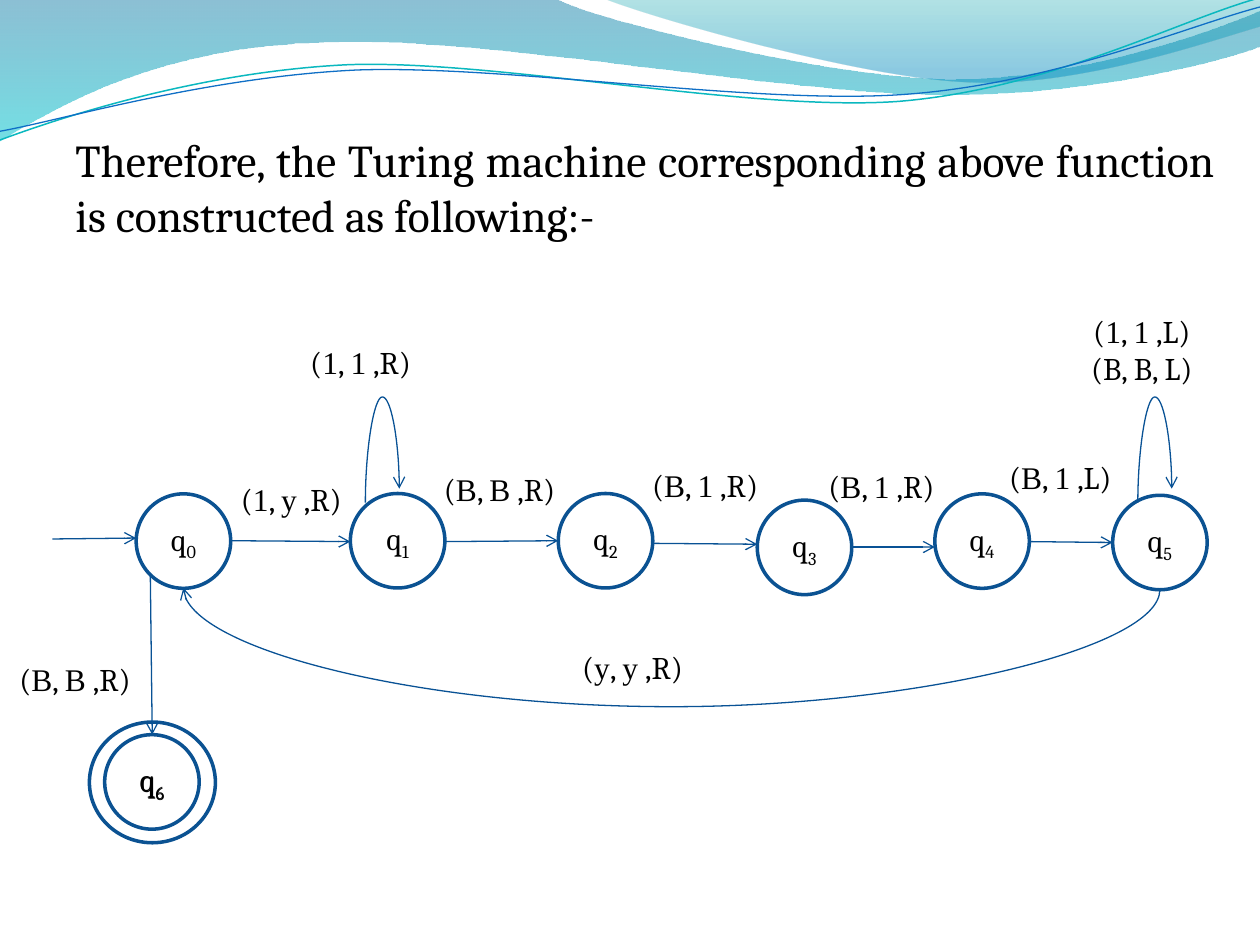
from pptx import Presentation
from pptx.dml.color import RGBColor
from pptx.enum import shapes, text
from pptx.oxml import ns
from pptx.oxml.xmlchemy import OxmlElement
from pptx.util import Pt

BLACK, NAVY, BLUE = "000000", "0B5292", "095295"
BODY_FONT, SYMBOL_FONT = "Cambria", "Times New Roman"
STATE_SIZE = 54

STATEMENT = ("Therefore, the Turing machine corresponding above function "
             "is constructed as following:-")

# Wave outlines in inches: start, then one point (line) or three points (curve).
BANDS = [
    ([(0, 0)], [(4.4, -.01)], [(4.76, .17), (6.64, .63), (7.58, .63)],
     [(8.53, .63), (9.58, .26), (10, .09)], [(10.01, .36)],
     [(9.83, .44), (8.7, .76), (7.46, .75)], [(6.22, .75), (3.82, .28), (2.57, .34)],
     [(1.29, .36), (.46, .83), (-.01, 1.13)]),
    ([(4.79, -.01)], [(5.09, .11), (6.82, .62), (7.69, .65)],
     [(8.56, .69), (9.61, .32), (10, .21)], [(10, 0)]),
]
# Gradient stops: position, colour, opacity in percent.
BAND_STOPS = [[(0, "0074A1", 45), (1, "00C6CF", 55)],
              [(0, "00A1A9", 30), (.8, "008BBF", 45)]]
WAVES = [
    (([(0, 1.11)], [(.48, .93), (1.58, .57), (2.77, .52)],
      [(3.95, .47), (5.93, .89), (7.13, .8)], [(8.33, .71), (9.38, .15), (9.98, -.02)]),
     "0AB8BF", .85),
    (([(0, 1.04)], [(.47, .96), (1.64, .61), (2.83, .56)],
      [(4.03, .51), (5.97, .84), (7.17, .75)], [(8.36, .67), (9.41, .21), (10, .06)]),
     "0F6FC6", .75),
]

# State number: left and top of its circle.
STATES = {0: (77.8, 282.2), 1: (200.2, 282), 2: (319, 282), 3: (432.7, 285.8),
          4: (534.2, 282.2), 5: (635.8, 283), 6: (59.8, 419.8)}
FINAL_RING = (51.1, 412.6, 72, 69)

ARROWS = [((30, 308), (77.8, 307.5)), ((131.8, 309), (200.2, 309.5)),
          ((254.2, 309.5), (319, 309)), ((373, 310.5), (432.7, 311)),
          ((486.7, 312.6), (534.2, 312.6)), ((588.2, 309.5), (635.8, 310)),
          ((85.9, 328.5), (87, 419.8))]
# Curved arrows: start, end, height of the turning point.
CURVES = [((208.8, 287.3), (228.2, 279.3), 226.8),
          ((650.2, 287.3), (669.6, 279.3), 226.8),
          ((662.8, 337), (104.8, 335.9), 403.5)]

# Read symbol, written symbol, move, then left, top, width, height.
LABELS = [
    ("1", "y", "R", (126, 264.2, 81, 42)),
    ("1", "1", "R", (165.6, 186, 81, 42)),
    ("y", "y", "R", (321, 360, 81, 42)),
    ("B", "B", "R", (241.2, 261.7, 88.6, 35)),
    ("B", "1", "R", (358.6, 259.5, 88.6, 35)),
    ("B", "1", "R", (459.4, 260.2, 88.6, 35)),
    ("B", "1", "L", (561.6, 255.2, 88.6, 35)),
    ("B", "B", "R", (-1.4, 370.4, 88.6, 35)),
    ("1", "1", "L", (612, 156.2, 81, 87)),
]
EXTRA_LINES = {8: "(B, B, L)"}


def color(hex_string):
    """Turn a hex string into a colour."""
    return RGBColor.from_string(hex_string)


def points(*values):
    """Convert plain numbers to point lengths."""
    return [Pt(value) for value in values]


def set_line(shape, hex_string, width):
    """Give a shape or connector a solid line."""
    shape.line.color.rgb = color(hex_string)
    shape.line.width = Pt(width)


def add_run(paragraph, words, size=18, font=BODY_FONT):
    """Append one black run and return it."""
    run = paragraph.add_run()
    run.text = words
    run.font.size, run.font.name = Pt(size), font
    run.font.color.rgb = color(BLACK)
    return run


def add_outline(slide, segments, closed):
    """Draw an outline of lines and cubic curves."""
    corners = [(x * 72, y * 72) for segment in segments for x, y in segment]
    builder = slide.shapes.build_freeform(*corners[0], scale=float(Pt(1)))
    builder.add_line_segments(corners[1:], close=closed)
    shape = builder.convert_to_shape()
    shape.shadow.inherit = False
    line_steps = iter(list(shape._element.iter(ns.qn("a:lnTo"))))
    for segment in segments[1:]:
        steps = [next(line_steps) for _ in segment]
        if len(steps) == 3:
            curve = OxmlElement("a:cubicBezTo")
            steps[0].addprevious(curve)
            for step in steps:
                curve.append(step[0])
                step.getparent().remove(step)
    return shape


def add_band(slide, segments, stops):
    """Draw a closed band with a translucent vertical gradient."""
    shape = add_outline(slide, segments, True)
    shape.line.fill.background()
    shape.fill.gradient()
    shape.fill.gradient_angle = 270
    for stop, (position, hex_string, opacity) in zip(shape.fill.gradient_stops, stops):
        stop.position = position
        stop.color.rgb = color(hex_string)
    for element, stop in zip(shape._element.iter(ns.qn("a:srgbClr")), stops):
        alpha = OxmlElement("a:alpha")
        alpha.set("val", str(stop[2] * 1000))
        element.append(alpha)


def add_state(slide, number, box):
    """Draw an unfilled circle with its state name."""
    shape = slide.shapes.add_shape(shapes.MSO_SHAPE.OVAL, *points(*box))
    shape.shadow.inherit = False
    shape.fill.background()
    set_line(shape, NAVY, 2)
    shape.text_frame.vertical_anchor = text.MSO_ANCHOR.MIDDLE
    paragraph = shape.text_frame.paragraphs[0]
    paragraph.alignment = text.PP_ALIGN.CENTER
    add_run(paragraph, "q")
    subscript = add_run(paragraph, str(number))
    subscript.font._element.set("baseline", "-25000")


def add_arrow(slide, start, end, kind=shapes.MSO_CONNECTOR.STRAIGHT):
    """Draw a thin connector with an open arrowhead at its end."""
    connector = slide.shapes.add_connector(kind, *points(*start, *end))
    set_line(connector, BLUE, .75)
    head = OxmlElement("a:tailEnd")
    head.set("type", "arrow")
    connector.line._get_or_add_ln().append(head)
    connector._element.spPr.append(OxmlElement("a:effectLst"))
    return connector


def add_curve(slide, start, end, turn):
    """Draw a curved arrow that leaves and arrives vertically."""
    connector = add_arrow(slide, start, end, shapes.MSO_CONNECTOR.CURVE)
    (x1, y1), (x2, y2) = start, end
    width, height = abs(y2 - y1), abs(x2 - x1)
    connector.left, connector.top, connector.width, connector.height = points(
        (x1 + x2 - width) / 2, (y1 + y2 - height) / 2, width, height)
    frame = connector._element.spPr.xfrm
    frame.set("rot", str(90 * 60000))
    frame.set("flipH", str(int(y2 < y1)))
    frame.set("flipV", str(int(x2 > x1)))
    guide = OxmlElement("a:gd")
    guide.set("name", "adj1")
    guide.set("fmla", f"val {round((turn - y1) / (y2 - y1) * 100000)}")
    geometry = connector._element.spPr.find(ns.qn("a:prstGeom"))
    geometry.find(ns.qn("a:avLst")).append(guide)


def add_text_box(slide, box, anchor, alignment):
    """Add a wrapping text box and return its frame."""
    frame = slide.shapes.add_textbox(*points(*box)).text_frame
    frame.word_wrap = True
    frame.vertical_anchor = anchor
    frame.paragraphs[0].alignment = alignment
    return frame


def add_label(slide, read, write, move, box, extra):
    """Write a transition label, with an extra line if given."""
    center = text.PP_ALIGN.CENTER
    frame = add_text_box(slide, box, text.MSO_ANCHOR.MIDDLE, center)
    for words, font in (("(", BODY_FONT), (read, SYMBOL_FONT), (", ", BODY_FONT),
                        (write, SYMBOL_FONT), (f" ,{move})", BODY_FONT)):
        add_run(frame.paragraphs[0], words, font=font)
    if extra:
        paragraph = frame.add_paragraph()
        paragraph.alignment = center
        add_run(paragraph, extra)


presentation = Presentation()
presentation.slide_width, presentation.slide_height = points(720, 540)
slide = presentation.slides.add_slide(presentation.slide_layouts[6])

for band, stops in zip(BANDS, BAND_STOPS):
    add_band(slide, band, stops)
for segments, hex_string, width in WAVES:
    wave = add_outline(slide, segments, False)
    wave.fill.background()
    set_line(wave, hex_string, width)

statement = add_text_box(slide, (36, 72, 666, 426), text.MSO_ANCHOR.TOP,
                         text.PP_ALIGN.JUSTIFY).paragraphs[0]
statement.space_before = Pt(5.2)
add_run(statement, STATEMENT, 26)

for number, corner in STATES.items():
    add_state(slide, number, (*corner, STATE_SIZE, STATE_SIZE))
add_state(slide, 6, FINAL_RING)
for start, end in ARROWS:
    add_arrow(slide, start, end)
for start, end, turn in CURVES:
    add_curve(slide, start, end, turn)
for index, label in enumerate(LABELS):
    add_label(slide, *label, EXTRA_LINES.get(index))

presentation.save("out.pptx")
